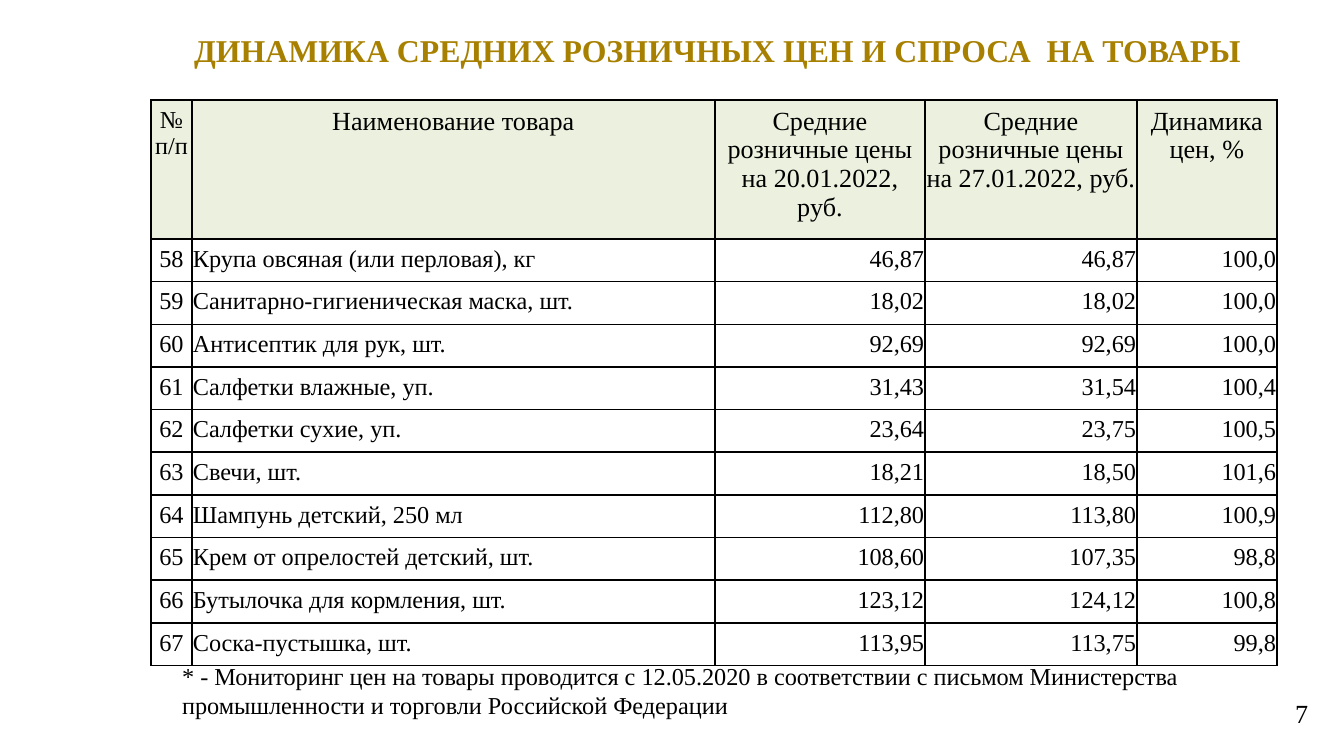
from lxml import etree
from pptx import Presentation
from pptx import util as u
from pptx.dml.color import RGBColor
from pptx.enum import text
from pptx.oxml import ns

PX_PER_INCH = 134.4
FONT = "Times New Roman"
GOLD = RGBColor(0xA8, 0x80, 0x00)
BLACK = RGBColor(0, 0, 0)
WHITE = RGBColor(0xFF, 0xFF, 0xFF)
HEADER_GREEN = RGBColor(0xEB, 0xF1, 0xDE)
LEFT, CENTER, RIGHT = text.PP_ALIGN.LEFT, text.PP_ALIGN.CENTER, text.PP_ALIGN.RIGHT

COLUMN_WIDTHS = [41, 523, 210, 212, 140]
COLUMN_ALIGNS = [CENTER, LEFT, RIGHT, RIGHT, RIGHT]
HEADER_HEIGHT, BODY_HEIGHT = 95, 415
HEADINGS = [
    "№ п/п",
    "Наименование товара",
    "Средние розничные цены на 20.01.2022, руб.",
    "Средние розничные цены на 27.01.2022, руб.",
    "Динамика цен, %",
]
GOODS = [
    ("58", "Крупа овсяная (или перловая), кг", "46,87", "46,87", "100,0"),
    ("59", "Санитарно-гигиеническая маска, шт.", "18,02", "18,02", "100,0"),
    ("60", "Антисептик для рук, шт.", "92,69", "92,69", "100,0"),
    ("61", "Салфетки влажные, уп.", "31,43", "31,54", "100,4"),
    ("62", "Салфетки сухие, уп.", "23,64", "23,75", "100,5"),
    ("63", "Свечи, шт.", "18,21", "18,50", "101,6"),
    ("64", "Шампунь детский, 250 мл", "112,80", "113,80", "100,9"),
    ("65", "Крем от опрелостей детский, шт.", "108,60", "107,35", "98,8"),
    ("66", "Бутылочка для кормления, шт.", "123,12", "124,12", "100,8"),
    ("67", "Соска-пустышка, шт.", "113,95", "113,75", "99,8"),
]


def px(length):
    return u.Inches(length / PX_PER_INCH)


def write(frame, wording, size, align, color=BLACK, bold=False):
    frame.text = wording
    paragraph = frame.paragraphs[0]
    paragraph.alignment = align
    font = paragraph.runs[0].font
    font.name, font.size, font.bold = FONT, u.Pt(size), bold
    font.color.rgb = color


def add_text(slide, box, wording, size, align, **style):
    frame = slide.shapes.add_textbox(*map(px, box)).text_frame
    frame.word_wrap = True
    write(frame, wording, size, align, **style)
    return frame


def add_borders(cell):
    properties = cell._tc.get_or_add_tcPr()
    for side in ("a:lnL", "a:lnR", "a:lnT", "a:lnB"):
        line = etree.SubElement(properties, ns.qn(side), w=str(u.Pt(0.96)))
        fill = etree.SubElement(line, ns.qn("a:solidFill"))
        etree.SubElement(fill, ns.qn("a:srgbClr"), val=str(BLACK))


def fill_cell(cell, wording, size, align, background):
    cell.margin_left = cell.margin_right = px(1)
    add_borders(cell)
    cell.fill.solid()
    cell.fill.fore_color.rgb = background
    write(cell.text_frame, wording, size, align)


def add_price_table(slide, left, top):
    table = slide.shapes.add_table(
        len(GOODS) + 1, len(HEADINGS), px(left), px(top),
        px(sum(COLUMN_WIDTHS)), px(HEADER_HEIGHT + BODY_HEIGHT),
    ).table
    table.first_row = table.horz_banding = False
    for column, width in zip(table.columns, COLUMN_WIDTHS):
        column.width = px(width)
    for row in table.rows:
        row.height = px(BODY_HEIGHT) // len(GOODS)
    table.rows[0].height = px(HEADER_HEIGHT)

    for c, heading in enumerate(HEADINGS):
        fill_cell(table.cell(0, c), heading, 14 if c else 13, CENTER, HEADER_GREEN)
    for r, product in enumerate(GOODS, start=1):
        for c, (value, align) in enumerate(zip(product, COLUMN_ALIGNS)):
            fill_cell(table.cell(r, c), value, 13, align, WHITE)


def main():
    deck = Presentation()
    deck.slide_width, deck.slide_height = px(1344), px(756)
    slide = deck.slides.add_slide(deck.slide_layouts[6])

    title = add_text(
        slide, (151, 22, 1158, 56),
        "ДИНАМИКА СРЕДНИХ РОЗНИЧНЫХ ЦЕН И СПРОСА  НА ТОВАРЫ",
        17, CENTER, color=GOLD, bold=True)
    title.vertical_anchor = text.MSO_ANCHOR.MIDDLE
    title.margin_right = px(38)

    add_text(slide, (1282, 691, 34, 62), "7", 14, RIGHT)
    add_price_table(slide, 151, 100)
    add_text(
        slide, (169, 655, 1115, 71),
        "* - Мониторинг цен на товары проводится с 12.05.2020 в соответствии с письмом "
        "Министерства промышленности и торговли Российской Федерации",
        13, LEFT)

    deck.save("out.pptx")


if __name__ == "__main__":
    main()
